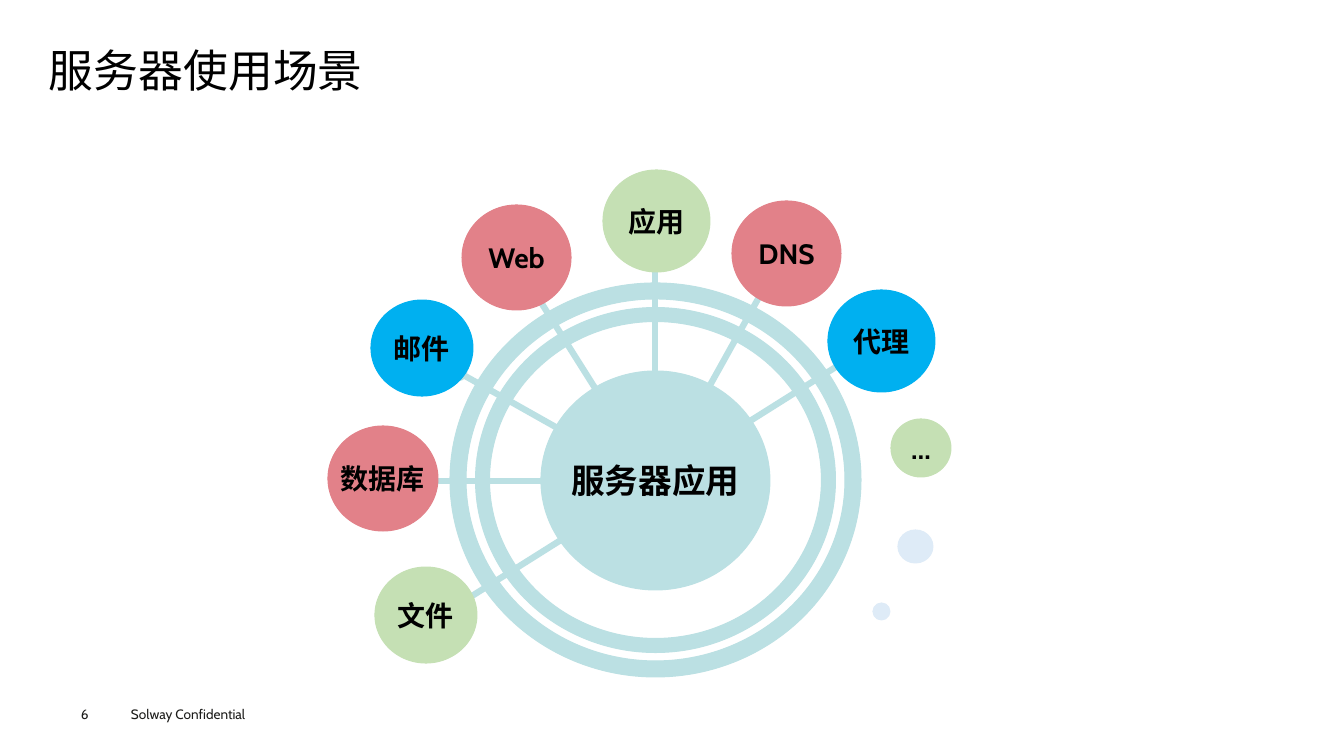
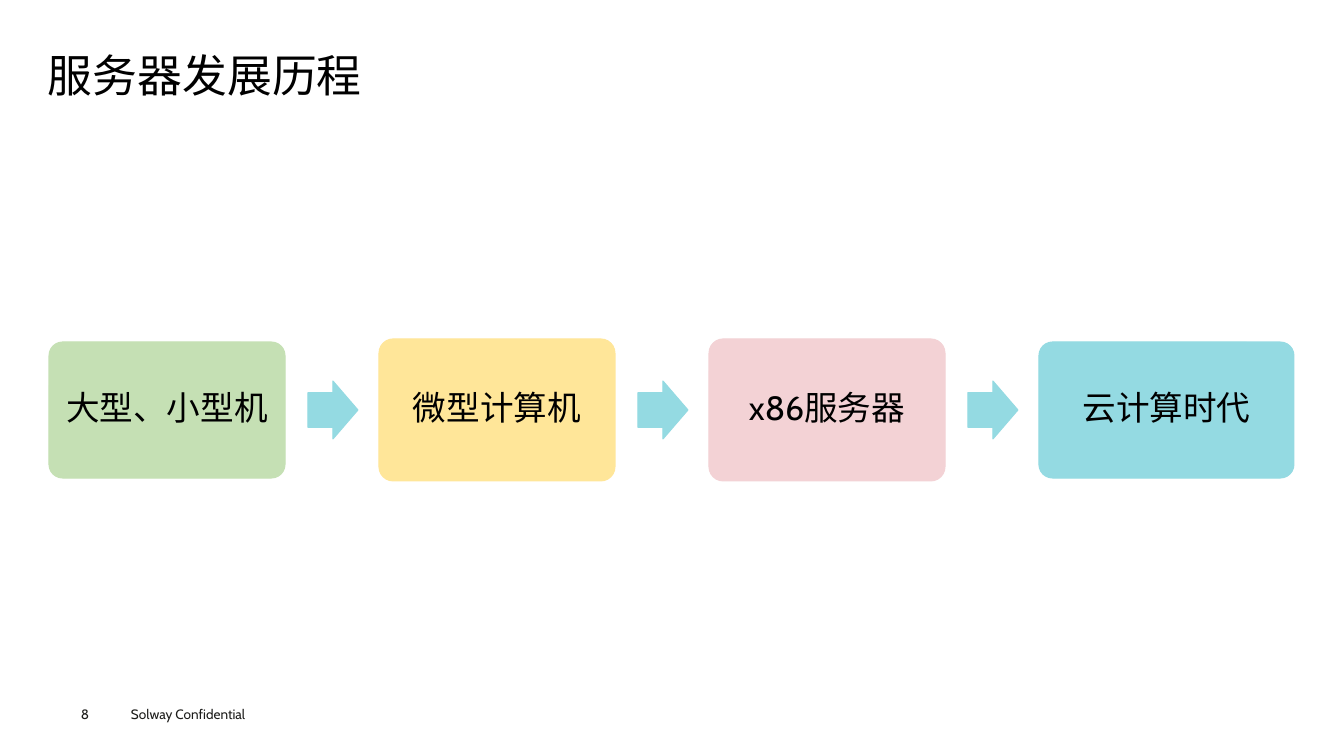
from dataclasses import dataclass

from pptx import Presentation, util as u
from pptx.dml.color import RGBColor
from pptx.enum import lang, shapes, text
from pptx.oxml.ns import qn
from lxml import etree


@dataclass(frozen=True)
class Theme:
    font: str = "Cabin"
    ink: str = "000000"
    footer_ink: str = "1D1D1B"
    hub: str = "BBE0E3"
    blue: str = "00B0F0"
    rose: str = "E28189"
    green: str = "C5E0B4"
    pale: str = "DEEBF7"
    yellow: str = "FFE699"
    pink: str = "F3D2D5"
    aqua: str = "94DAE2"
    title_size: float = 32
    stage_size: float = 24
    label_size: float = 20
    footer_size: float = 9.7


theme = Theme()
SHAPE = shapes.MSO_SHAPE


def px(n):
    return u.Emu(round(n * 914400 / 100.8))


def put_text(box, words, size, color=theme.ink, bold=False, centered=False, spacing=1.0):
    """Write one line of text into a shape or text box, without insets."""
    frame = box.text_frame
    frame.word_wrap = False
    frame.margin_left = frame.margin_right = frame.margin_top = frame.margin_bottom = 0
    frame.vertical_anchor = text.MSO_ANCHOR.MIDDLE if centered else text.MSO_ANCHOR.TOP
    line = frame.paragraphs[0]
    line.alignment = text.PP_ALIGN.CENTER if centered else text.PP_ALIGN.LEFT
    line.line_spacing = spacing
    run = line.add_run()
    run.text = words
    run.font.name = theme.font
    run.font.size = u.Pt(size)
    run.font.bold = bold
    run.font.color.rgb = RGBColor.from_string(color)
    run.font.language_id = lang.MSO_LANGUAGE_ID.SIMPLIFIED_CHINESE


def add_filled(slide, kind, area, color, adjustments=()):
    shape = slide.shapes.add_shape(kind, *map(px, area))
    shape.shadow.inherit = False
    shape.fill.solid()
    shape.fill.fore_color.rgb = RGBColor.from_string(color)
    shape.line.color.rgb = RGBColor.from_string(color)
    shape.line.width = u.Pt(0.75)
    for i, value in enumerate(adjustments):
        shape.adjustments[i] = value
    return shape


deck = Presentation()
deck.slide_width, deck.slide_height = px(1344), px(756)

# Title and footer of each slide
pages = []
for title, left, top, number in [
    ("服务器使用场景", 49, 49, "6"),
    ("服务器发展历程", 48, 54, "8"),
]:
    slide = deck.slides.add_slide(deck.slide_layouts[6])
    heading = slide.shapes.add_textbox(px(left), px(top), px(1245), px(54))
    put_text(heading, title, theme.title_size, spacing=0.9)
    for words, x in [(number, 81), ("Solway Confidential", 131)]:
        footer = slide.shapes.add_textbox(px(x), px(706), px(145), px(16))
        put_text(footer, words, theme.footer_size, theme.footer_ink)
    pages.append(slide)
scenarios, history = pages

# Server uses: spokes, hub, rings and satellites
for ends in [
    (655, 263, 655, 480),
    (537, 296, 653, 480),
    (847, 360, 464, 601),
    (458, 372, 655, 483),
    (763, 290, 654, 486),
    (656, 481, 429, 481),
]:
    spoke = scenarios.shapes.add_connector(shapes.MSO_CONNECTOR.STRAIGHT, *map(px, ends))
    spoke.line.color.rgb = RGBColor.from_string(theme.hub)
    spoke.line.width = u.Pt(4.5)
    outline = spoke.line._get_or_add_ln()
    for tip in ("a:headEnd", "a:tailEnd"):
        etree.SubElement(outline, qn(tip), type="oval")
    etree.SubElement(spoke._element.spPr, qn("a:effectLst"))

hub = add_filled(scenarios, SHAPE.OVAL, (541, 371, 229, 219), theme.hub)
put_text(hub, "服务器应用", theme.stage_size, bold=True, centered=True)
for width, height, band in [(360, 345, 14), (411, 394, 16)]:
    area = (655.5 - width / 2, 480 - height / 2, width, height)
    add_filled(scenarios, SHAPE.DONUT, area, theme.hub, [band / height])

for label, color, area in [
    ("代理", theme.blue, (828, 290, 107, 102)),
    ("DNS", theme.rose, (732, 201, 109, 105)),
    ("应用", theme.green, (603, 170, 107, 102)),
    ("Web", theme.rose, (462, 205, 109, 105)),
    ("邮件", theme.blue, (371, 300, 102, 96)),
    ("数据库", theme.rose, (328, 426, 110, 105)),
    ("文件", theme.green, (375, 567, 102, 96)),
    ("…", theme.green, (891, 419, 60, 58)),
    ("", theme.pale, (898, 530, 35, 33)),
    ("", theme.pale, (873, 603, 17, 17)),
]:
    satellite = add_filled(scenarios, SHAPE.OVAL, area, color)
    if label:
        put_text(satellite, label, theme.label_size, bold=True, centered=True)

# Server history: four stages joined by arrows
FIRST_STAGE, FIRST_ARROW, PITCH, MIDDLE = 49, 308, 330, 410
stages = [
    ("大型、小型机", theme.green, 236, 136),
    ("微型计算机", theme.yellow, 236, 142),
    ("x86服务器", theme.pink, 236, 142),
    ("云计算时代", theme.aqua, 255, 136),
]
for i, (era, color, width, height) in enumerate(stages):
    area = (FIRST_STAGE + i * PITCH, MIDDLE - height / 2, width, height)
    stage = add_filled(history, SHAPE.ROUNDED_RECTANGLE, area, color, [0.1])
    put_text(stage, era, theme.stage_size, centered=True, spacing=0.9)
    if i < len(stages) - 1:
        arrow = (FIRST_ARROW + i * PITCH, MIDDLE - 29, 50, 58)
        add_filled(history, SHAPE.RIGHT_ARROW, arrow, theme.aqua, [0.6, 0.5])

deck.save("out.pptx")
